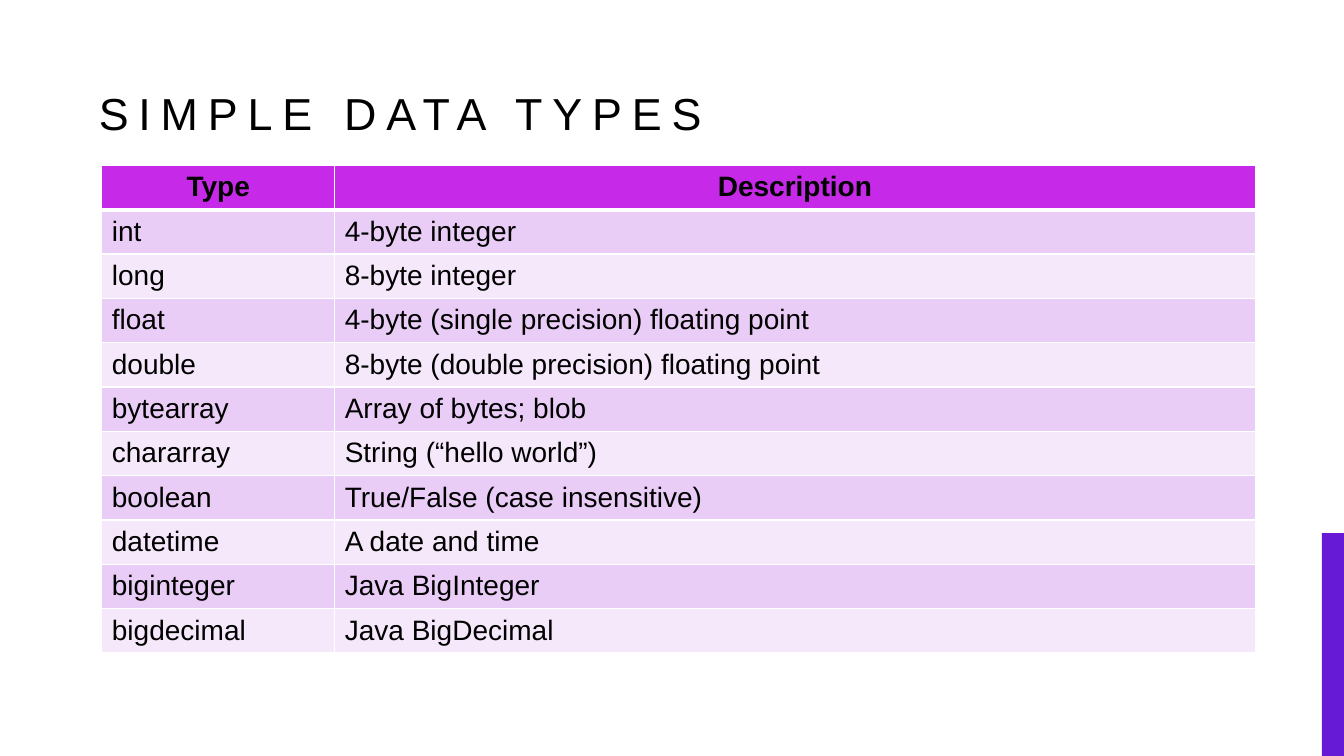
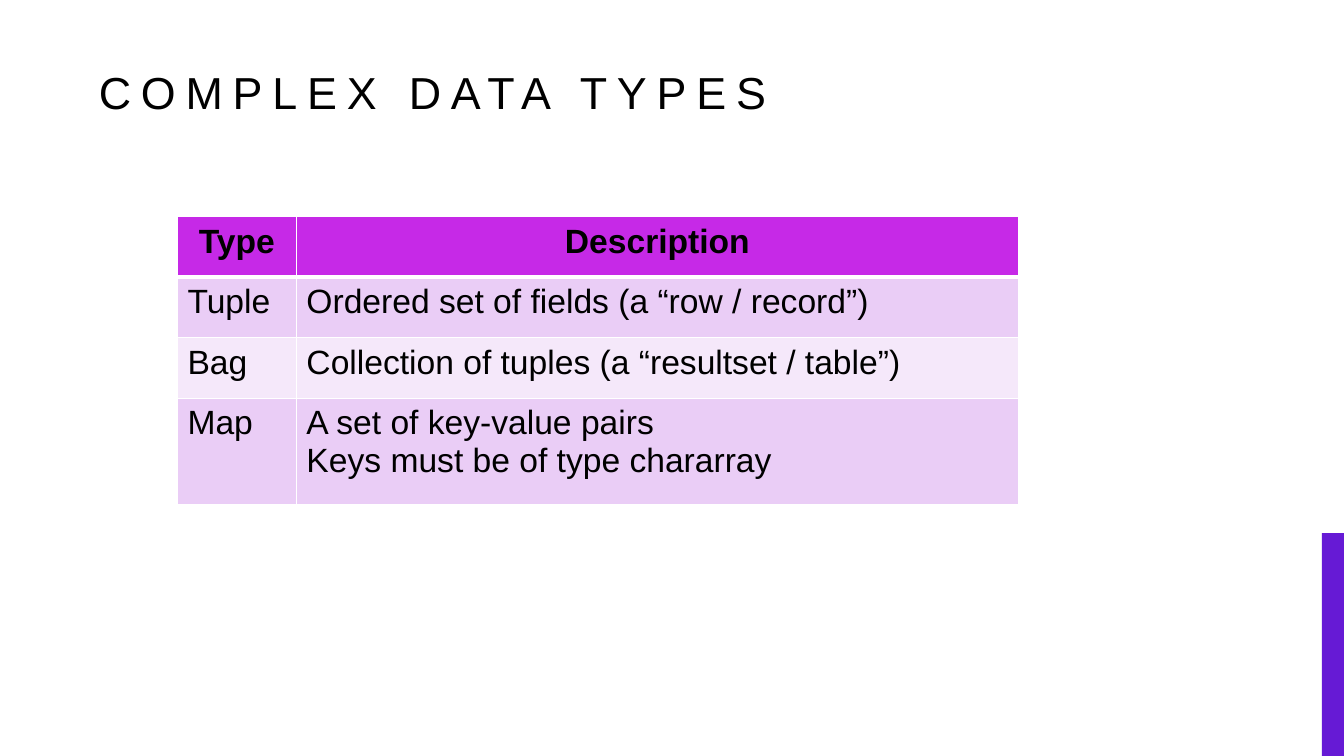
from dataclasses import dataclass

import lxml.etree
import pptx
import pptx.dml.color
import pptx.enum.shapes
import pptx.enum.text
import pptx.oxml.ns
import pptx.presentation
import pptx.slide
import pptx.table
import pptx.util
from pptx.util import Inches

BLACK = pptx.dml.color.RGBColor(0x00, 0x00, 0x00)
WHITE = pptx.dml.color.RGBColor(0xFF, 0xFF, 0xFF)
VIOLET = pptx.dml.color.RGBColor(0x66, 0x1A, 0xD5)
HEADER_FILL = pptx.dml.color.RGBColor(0xC6, 0x29, 0xE7)
BAND_FILLS = (
    pptx.dml.color.RGBColor(0xEA, 0xCD, 0xF6),
    pptx.dml.color.RGBColor(0xF5, 0xE8, 0xFA),
)
FONT = "Arial"
TITLE_SIZE = 32
TITLE_TRACKING = 7
THIN_RULE = 1
HEADER_RULE = 3
HEADINGS = ("Type", "Description")


@dataclass(frozen=True)
class TypeTable:
    title: str
    title_height: float
    left: float
    top: float
    column_widths: tuple[float, ...]
    row_heights: tuple[float, ...]
    text_size: int
    entries: tuple[tuple[str, str], ...]


PAGES = (
    TypeTable(
        title="SIMPLE DATA TYPES",
        title_height=1.03,
        left=1.01,
        top=1.64,
        column_widths=(2.31, 9.13),
        row_heights=(0.44,) * 11,
        text_size=20,
        entries=(
            ("int", "4-byte integer"),
            ("long", "8-byte integer"),
            ("float", "4-byte (single precision) floating point"),
            ("double", "8-byte (double precision) floating point"),
            ("bytearray", "Array of bytes; blob"),
            ("chararray", "String (“hello world”)"),
            ("boolean", "True/False (case insensitive)"),
            ("datetime", "A date and time"),
            ("biginteger", "Java BigInteger"),
            ("bigdecimal", "Java BigDecimal"),
        ),
    ),
    TypeTable(
        title="COMPLEX DATA TYPES",
        title_height=0.83,
        left=1.76,
        top=2.15,
        column_widths=(1.18, 7.16),
        row_heights=(0.6, 0.6, 0.6, 1.06),
        text_size=24,
        entries=(
            ("Tuple", "Ordered set of fields (a “row / record”)"),
            ("Bag", "Collection of tuples (a “resultset / table”)"),
            ("Map", "A set of key-value pairs\nKeys must be of type chararray"),
        ),
    ),
)


def write_text(
    frame: pptx.text.text.TextFrame,
    text: str,
    size: int,
    bold: bool = False,
    align: pptx.enum.text.PP_ALIGN = pptx.enum.text.PP_ALIGN.LEFT,
) -> None:
    for index, line in enumerate(text.split("\n")):
        para = frame.add_paragraph() if index else frame.paragraphs[0]
        para.alignment = align
        span = para.add_run()
        span.text = line
        span.font.name = FONT
        span.font.size = pptx.util.Pt(size)
        span.font.bold = bold
        span.font.color.rgb = BLACK


def add_side_bar(page: pptx.slide.Slide) -> None:
    bar = page.shapes.add_shape(
        pptx.enum.shapes.MSO_SHAPE.RECTANGLE,
        Inches(13.11), Inches(5.29), Inches(0.22), Inches(2.21),
    )
    bar.shadow.inherit = False
    bar.fill.solid()
    bar.fill.fore_color.rgb = VIOLET
    bar.line.fill.background()


def set_title(page: pptx.slide.Slide, text: str, height: float) -> None:
    title = page.shapes.title
    title.left, title.top = Inches(0.88), Inches(0.4)
    title.width, title.height = Inches(11.33), Inches(height)
    frame = title.text_frame
    frame.word_wrap = True
    frame.auto_size = pptx.enum.text.MSO_AUTO_SIZE.NONE
    frame.vertical_anchor = pptx.enum.text.MSO_ANCHOR.BOTTOM
    write_text(frame, text, TITLE_SIZE)
    para = frame.paragraphs[0]
    para.line_spacing = 1.2
    para.space_before = pptx.util.Pt(0)
    para.runs[0].font._element.set("spc", str(TITLE_TRACKING * 100))


def set_borders(cell: pptx.table._Cell, top: int, bottom: int) -> None:
    properties = cell._tc.get_or_add_tcPr()
    widths = {"lnL": THIN_RULE, "lnR": THIN_RULE, "lnT": top, "lnB": bottom}
    for side, width in widths.items():
        rule = lxml.etree.SubElement(
            properties, pptx.oxml.ns.qn(f"a:{side}"), w=str(pptx.util.Pt(width))
        )
        fill = lxml.etree.SubElement(rule, pptx.oxml.ns.qn("a:solidFill"))
        lxml.etree.SubElement(fill, pptx.oxml.ns.qn("a:srgbClr"), val=str(WHITE))


def fill_cell(cell: pptx.table._Cell, text: str, row: int, size: int) -> None:
    is_header = row == 0
    set_borders(
        cell,
        top=HEADER_RULE if row == 1 else THIN_RULE,
        bottom=HEADER_RULE if is_header else THIN_RULE,
    )
    cell.fill.solid()
    cell.fill.fore_color.rgb = HEADER_FILL if is_header else BAND_FILLS[(row - 1) % 2]
    cell.margin_left = cell.margin_right = Inches(0.1)
    cell.margin_top = cell.margin_bottom = Inches(0.06)
    alignment = pptx.enum.text.PP_ALIGN
    write_text(
        cell.text_frame, text, size, is_header,
        alignment.CENTER if is_header else alignment.LEFT,
    )


def add_type_table(page: pptx.slide.Slide, content: TypeTable) -> None:
    rows = (HEADINGS, *content.entries)
    table = page.shapes.add_table(
        len(rows), len(HEADINGS),
        Inches(content.left), Inches(content.top),
        Inches(sum(content.column_widths)), Inches(sum(content.row_heights)),
    ).table
    for column, width in zip(table.columns, content.column_widths):
        column.width = Inches(width)
    for row, (texts, height) in enumerate(zip(rows, content.row_heights)):
        table.rows[row].height = Inches(height)
        for column, text in enumerate(texts):
            fill_cell(table.cell(row, column), text, row, content.text_size)


def add_page(deck: pptx.presentation.Presentation, content: TypeTable) -> None:
    page = deck.slides.add_slide(deck.slide_layouts.get_by_name("Title Only"))
    add_side_bar(page)
    set_title(page, content.title, content.title_height)
    add_type_table(page, content)


def main() -> None:
    deck = pptx.Presentation()
    deck.slide_width, deck.slide_height = Inches(13.33), Inches(7.5)
    for content in PAGES:
        add_page(deck, content)
    deck.save("out.pptx")


if __name__ == "__main__":
    main()
